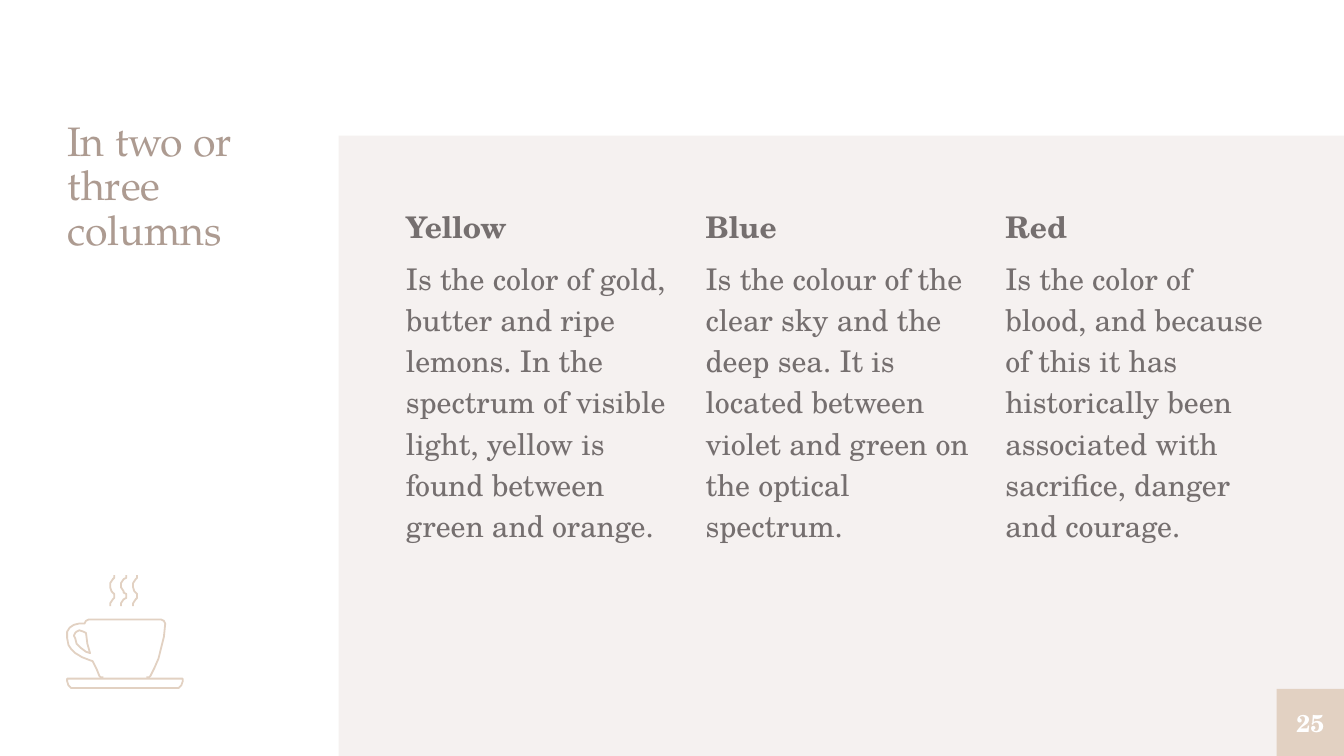
import pptx
import pptx.util
import pptx.dml.color
import pptx.enum.shapes
import pptx.enum.text

TITLE = "In two or three columns"
COLUMNS = [
    ("Yellow", "Is the color of gold, butter and ripe lemons. In the spectrum of "
               "visible light, yellow is found between green and orange."),
    ("Blue", "Is the colour of the clear sky and the deep sea. It is located "
             "between violet and green on the optical spectrum."),
    ("Red", "Is the color of blood, and because of this it has historically been "
            "associated with sacrifice, danger and courage."),
]
PAGE = "25"

CUP = [(109, 504), (111, 504), (112, 503), (115, 497), (118, 490), (120, 482),
       (122, 474), (123, 464), (122, 462), (120, 461), (66, 461), (64, 462),
       (63, 464), (59, 464), (55, 465), (52, 467), (50, 470), (50, 475),
       (51, 480), (53, 483), (56, 486), (61, 489), (66, 491), (69, 492),
       (72, 498), (74, 503), (75, 504), (77, 504)]
HANDLE = [(55, 473), (56, 471), (57, 469.5), (59, 469), (62, 469.5), (64, 471),
          (65, 479), (67, 486), (64, 485), (60, 482), (57, 479), (55.5, 475)]
SAUCER = [(131, 512), (55, 512), (53, 512), (51, 510), (50, 507), (50, 505),
          (136, 505), (136, 507), (135, 510), (133, 512)]
STEAM = [(85, 428), (85, 430), (84, 431), (82, 434), (82, 437), (83, 440),
         (84, 441), (85, 442), (85, 445), (84, 446), (82, 449), (82, 451)]
STEAM_STEP = 8.5

THEME = {
    "panel": "F5F1F0", "title": "AD9B91", "body": "756F6F",
    "accent": "E2D1C2", "page": "FFFFFF",
    "title_font": "TeX Gyre Pagella", "body_font": "TeX Gyre Schola",
    "title_size": 22, "body_size": 16, "page_size": 13, "line": 0.96,
}

W, H = 10, 5.625
MARGIN = W / 20
PANEL_LEFT, PANEL_TOP = 2.52, 1.01
GAP = 0.21
BOTTOM = H - MARGIN


def color(name):
    return pptx.dml.color.RGBColor.from_string(THEME[name])


def inches(*values):
    return [pptx.util.Inches(v) for v in values]


def rect(s, box, fill):
    sp = s.shapes.add_shape(pptx.enum.shapes.MSO_SHAPE.RECTANGLE, *inches(*box))
    sp.shadow.inherit = False
    sp.fill.solid()
    sp.fill.fore_color.rgb = color(fill)
    sp.line.fill.background()
    return sp


def frame(sp):
    tf = sp.text_frame
    tf.word_wrap = True
    tf.margin_left = tf.margin_top = tf.margin_right = tf.margin_bottom = 0
    return tf


def write(p, text, kind, font, bold=False, spacing=None):
    p.text = text
    p.line_spacing = spacing
    f = p.runs[0].font
    f.name = THEME[font]
    f.size = pptx.util.Pt(THEME[kind + "_size"])
    f.color.rgb = color(kind)
    f.bold = bold


def outline(group, points, close):
    builder = group.shapes.build_freeform(*points[0], scale=pptx.util.Inches(0.01))
    builder.add_line_segments(points[1:], close=close)
    sp = builder.convert_to_shape()
    sp.shadow.inherit = False
    sp.fill.background()
    sp.line.color.rgb = color("accent")
    sp.line.width = pptx.util.Pt(THEME["line"])


prs = pptx.Presentation()
prs.slide_width, prs.slide_height = inches(W, H)
s = prs.slides.add_slide(prs.slide_layouts[6])

rect(s, (PANEL_LEFT, PANEL_TOP, W - PANEL_LEFT, H - PANEL_TOP), "panel")

tf = frame(s.shapes.add_textbox(*inches(MARGIN, 0.9, 1.78, BOTTOM - 0.9)))
write(tf.paragraphs[0], TITLE, "title", "title_font", spacing=0.9)

left, top = PANEL_LEFT + MARGIN, PANEL_TOP + MARGIN
width = (W - MARGIN - left - GAP * (len(COLUMNS) - 1)) / len(COLUMNS)
for i, (heading, body) in enumerate(COLUMNS):
    box = (left + i * (width + GAP), top, width, BOTTOM - top)
    tf = frame(s.shapes.add_textbox(*inches(*box)))
    write(tf.paragraphs[0], heading, "body", "body_font", True, 1.15)
    p = tf.add_paragraph()
    write(p, body, "body", "body_font", spacing=1.15)
    p.space_before = pptx.util.Pt(6)

tf = frame(rect(s, (W - MARGIN, BOTTOM, MARGIN, MARGIN), "accent"))
tf.vertical_anchor = pptx.enum.text.MSO_ANCHOR.MIDDLE
write(tf.paragraphs[0], PAGE, "page", "body_font", True)
tf.paragraphs[0].alignment = pptx.enum.text.PP_ALIGN.CENTER

icon = s.shapes.add_group_shape()
outline(icon, CUP, False)
outline(icon, HANDLE, True)
outline(icon, SAUCER, True)
for i in range(3):
    outline(icon, [(x + i * STEAM_STEP, y) for x, y in STEAM], False)

prs.save("out.pptx")
